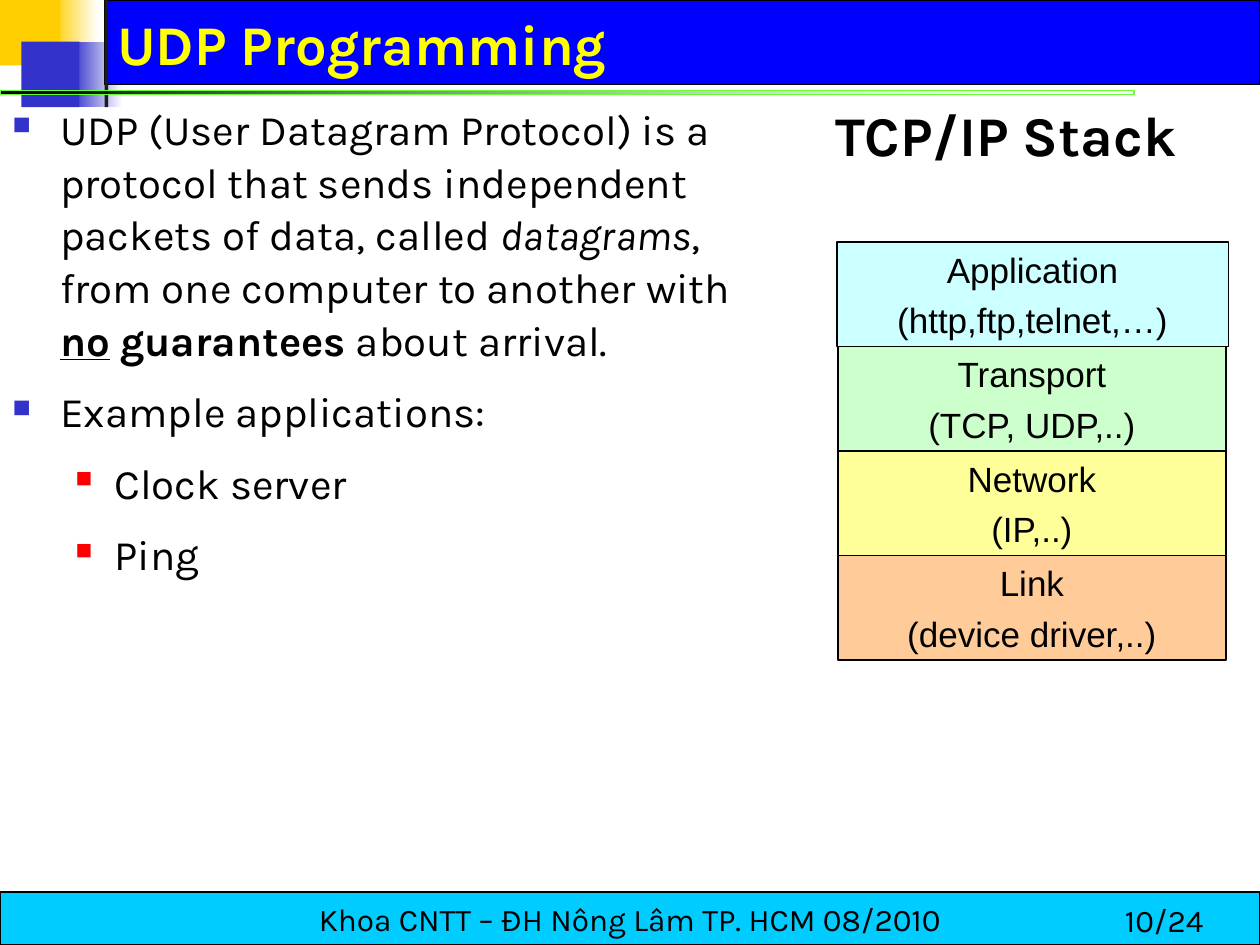
from lxml import etree
from pptx import Presentation
from pptx.dml.color import RGBColor
from pptx.enum.shapes import MSO_SHAPE as Shape
from pptx.enum.text import MSO_ANCHOR as Anchor, MSO_AUTO_SIZE as AutoSize, PP_ALIGN as Align
from pptx.oxml.ns import qn
from pptx.util import Inches, Pt

COLORS = {
    "white": "FFFFFF", "black": "000000", "charcoal": "1C1C1C", "gold": "FFCF01",
    "indigo": "3333CC", "blue": "0000FF", "green": "66FF33", "sky": "00CCFF",
    "yellow": "FFFF00", "red": "FF0000", "pale cyan": "CCFFFF",
    "pale green": "CCFFCC", "pale yellow": "FFFF99", "peach": "FFCC99",
}

# left, top, width, height, colour at the left edge, colour it fades to, outline
DECORATIONS = [
    (0.42, 0, 0.36, 0.52, "gold", "white", None),
    (0.57, 0.33, 0.4, 0.52, "indigo", "white", None),
    (0.83, 0, 9.17, 0.67, "blue", None, "black"),
    (0, 0, 0.48, 0.52, "gold", None, None),
    (0.17, 0.33, 0.46, 0.52, "indigo", None, None),
    (0.83, 0, 0.03, 0.85, "charcoal", None, None),
    (0, 0.72, 9, 0.03, "black", "green", "green"),
]
TITLE = "UDP Programming"
FOOTER = "Khoa CNTT – ĐH Nông Lâm TP. HCM 08/2010"
PAGE_NUMBER = "10/24"
STACK_TITLE = "TCP/IP Stack"

# level, runs of (text, styles)
POINTS = [
    (0, [("UDP (User Datagram Protocol) is a protocol that sends independent "
          "packets of data, called ", {}),
         ("datagrams", {"italic": True}),
         (", from one computer to another with ", {}),
         ("no", {"bold": True, "underline": True}),
         (" ", {}),
         ("guarantees", {"bold": True}),
         (" about arrival.", {})]),
    (0, [("Example applications:", {})]),
    (1, [("Clock server", {})]),
    (1, [("Ping", {})]),
]
# left margin, hanging indent, bullet colour, bullet size in percent
LEVELS = [(0.38, 0.38, "indigo", 60), (0.81, 0.31, "red", 55)]

# name, examples, colour, left, width
LAYERS = [
    ("Application", "(http,ftp,telnet,…)", "pale cyan", 6.64, 3.11),
    ("Transport", "(TCP, UDP,..)", "pale green", 6.65, 3.08),
    ("Network", "(IP,..)", "pale yellow", 6.65, 3.08),
    ("Link", "(device driver,..)", "peach", 6.65, 3.08),
]
STACK_TOP, LAYER_HEIGHT = 1.92, 0.83


def rgb(name):
    return RGBColor.from_string(COLORS[name])


def add_bar(slide, left, top, width, height, color, fade=None, outline=None, weight=0.75):
    bar = slide.shapes.add_shape(
        Shape.RECTANGLE, Inches(left), Inches(top), Inches(width), Inches(height))
    bar.shadow.inherit = False
    if fade:
        bar.fill.gradient()
        bar.fill.gradient_angle = 180
        for stop, name in zip(bar.fill.gradient_stops, (fade, color)):
            stop.color.rgb = rgb(name)
    else:
        bar.fill.solid()
        bar.fill.fore_color.rgb = rgb(color)
    if outline:
        bar.line.color.rgb = rgb(outline)
        bar.line.width = Pt(weight)
    else:
        bar.line.fill.background()
    return bar


def make_first_stop_clear(bar):
    first_color = next(bar.fill._xPr.iter(qn("a:srgbClr")))
    etree.SubElement(first_color, qn("a:alpha"), val="0")


def add_text_box(slide, left, top, width, height):
    return slide.shapes.add_textbox(
        Inches(left), Inches(top), Inches(width), Inches(height))


def set_frame(shape, anchor=Anchor.TOP):
    frame = shape.text_frame
    frame.word_wrap = True
    frame.auto_size = AutoSize.NONE
    frame.vertical_anchor = anchor
    return frame


def write(para, text, size, font="Karla", color="black", align=Align.LEFT, before=0, **styles):
    para.alignment = align
    para.space_before = Pt(before)
    span = para.add_run()
    span.text = text
    span.font.size = Pt(size)
    span.font.name = font
    span.font.color.rgb = rgb(color)
    for style, value in styles.items():
        setattr(span.font, style, value)


def add_bullet(para, margin, hanging, color, percent):
    properties = para._p.get_or_add_pPr()
    properties.set("marL", str(Inches(margin)))
    properties.set("indent", str(-Inches(hanging)))
    bullet_color = etree.SubElement(properties, qn("a:buClr"))
    etree.SubElement(bullet_color, qn("a:srgbClr"), val=COLORS[color])
    etree.SubElement(properties, qn("a:buSzPct"), val=str(percent * 1000))
    etree.SubElement(properties, qn("a:buChar"), char="■")


def next_para(frame, index):
    return frame.add_paragraph() if index else frame.paragraphs[0]


def main():
    deck = Presentation()
    deck.slide_width, deck.slide_height = Inches(10), Inches(7.5)
    slide = deck.slides.add_slide(deck.slide_layouts[5])

    for decoration in DECORATIONS:
        bar = add_bar(slide, *decoration[:6], outline=decoration[6],
                      weight=0 if decoration[6] == "green" else 0.75)
    make_first_stop_clear(bar)

    footer = add_bar(slide, 0, 7.08, 10, 0.42, "sky", outline="black")
    write(set_frame(footer, Anchor.MIDDLE).paragraphs[0], FOOTER, 18, align=Align.CENTER)
    page = add_text_box(slide, 8.83, 7.1, 1.17, 0.4)
    write(set_frame(page).paragraphs[0], PAGE_NUMBER, 18, before=11.2)

    title = slide.shapes.title
    title.left, title.top = Inches(0.83), Inches(0.08)
    title.width, title.height = Inches(8.94), Inches(0.58)
    write(set_frame(title, Anchor.BOTTOM).paragraphs[0], TITLE, 32, color="yellow", bold=True)
    slide.shapes._spTree.append(title._element)  # in front of the blue band

    body = set_frame(add_text_box(slide, 0, 0.75, 6.25, 6.25))
    for index, (level, spans) in enumerate(POINTS):
        para = next_para(body, index)
        para.level = level
        para.line_spacing = 1.05
        for text, styles in spans:
            write(para, text, 24, before=10.5, **styles)
        add_bullet(para, *LEVELS[level])

    heading = add_text_box(slide, 6.53, 0.75, 3.47, 0.8)
    write(set_frame(heading).paragraphs[0], STACK_TITLE, 32, before=8, bold=True)

    for row, (name, examples, color, left, width) in enumerate(LAYERS):
        layer = add_bar(slide, left, STACK_TOP + row * LAYER_HEIGHT, width, LAYER_HEIGHT,
                        color, outline="black", weight=1)
        frame = set_frame(layer)
        for index, text in enumerate((name, examples)):
            write(next_para(frame, index), text, 20, font="Arial",
                  align=Align.CENTER, before=5)

    deck.save("out.pptx")


if __name__ == "__main__":
    main()
